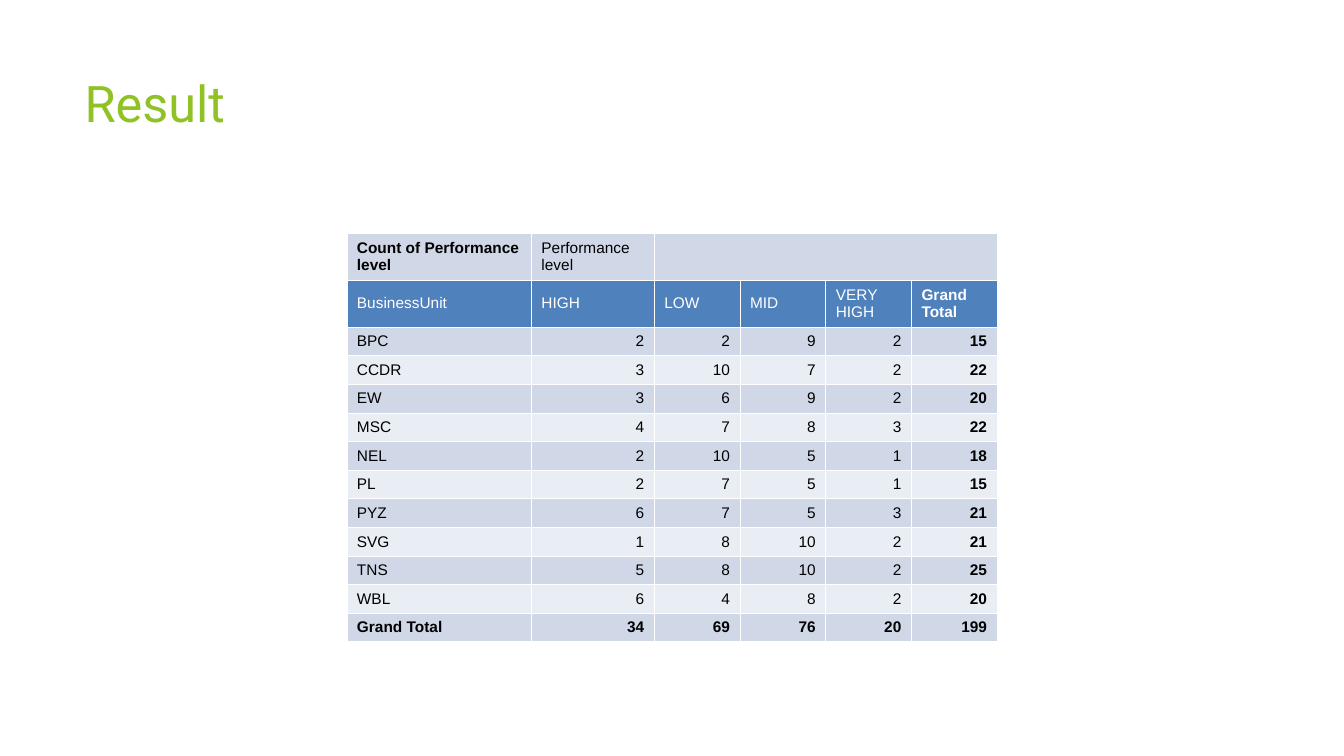
from lxml import etree
from pptx import Presentation
from pptx.dml.color import RGBColor
from pptx.enum.text import MSO_ANCHOR, PP_ALIGN
from pptx.oxml.ns import qn
from pptx.util import Inches, Pt

LEFT, RIGHT = PP_ALIGN.LEFT, PP_ALIGN.RIGHT
TOP, MIDDLE = MSO_ANCHOR.TOP, MSO_ANCHOR.MIDDLE

COLOURS = {
    "title": "90C226",
    "text": "000000",
    "header": "4F81BD",
    "band": "D0D8E8",
    "light": "E9EDF4",
    "white": "FFFFFF",
}

CAPTIONS = ["Count of Performance level", "Performance level", "", "", "", ""]
HEADINGS = ["BusinessUnit", "HIGH", "LOW", "MID", "VERY HIGH", "Grand Total"]
COUNTS = {
    "BPC": [2, 2, 9, 2],
    "CCDR": [3, 10, 7, 2],
    "EW": [3, 6, 9, 2],
    "MSC": [4, 7, 8, 3],
    "NEL": [2, 10, 5, 1],
    "PL": [2, 7, 5, 1],
    "PYZ": [6, 7, 5, 3],
    "SVG": [1, 8, 10, 2],
    "TNS": [5, 8, 10, 2],
    "WBL": [6, 4, 8, 2],
}
COLUMN_WIDTHS = [1.83, 1.22, 0.85, 0.85, 0.85, 0.85]


def colour(name):
    return RGBColor.from_string(COLOURS[name])


def write(frame, text, font, size, ink, bold=False, align=LEFT):
    para = frame.paragraphs[0]
    para.alignment = align
    span = para.add_run()
    span.text = text
    span.font.name = font
    span.font.size = Pt(size)
    span.font.bold = bold
    span.font.color.rgb = colour(ink)


def add_borders(cell):
    properties = cell._tc.get_or_add_tcPr()
    for position, side in enumerate(("a:lnL", "a:lnR", "a:lnT", "a:lnB")):
        line = etree.Element(qn(side), w=str(Pt(0.5)))
        fill = etree.SubElement(line, qn("a:solidFill"))
        etree.SubElement(fill, qn("a:srgbClr"), val=COLOURS["white"])
        properties.insert(position, line)


def add_title(page, left, top, width, height):
    box = page.shapes.add_textbox(Inches(left), Inches(top), Inches(width), Inches(height))
    box.text_frame.word_wrap = True
    box.text_frame.vertical_anchor = TOP
    write(box.text_frame, "Result", "Roboto", 36, "title")


def pivot_rows():
    """Captions, headings, one row per unit with its total, then column totals."""
    units = [[unit, *counts, sum(counts)] for unit, counts in COUNTS.items()]
    totals = [sum(column) for column in list(zip(*units))[1:]]
    return [CAPTIONS, HEADINGS, *units, ["Grand Total", *totals]]


def add_pivot_table(page, left, top, width, height):
    rows = pivot_rows()
    last_row, last_column = len(rows) - 1, len(HEADINGS) - 1
    table = page.shapes.add_table(
        len(rows), len(HEADINGS), Inches(left), Inches(top), Inches(width), Inches(height)
    ).table
    for column, column_width in zip(table.columns, COLUMN_WIDTHS):
        column.width = Inches(column_width)

    for row, values in enumerate(rows):
        is_header = row == 1
        fill = "header" if is_header else ("light" if row % 2 else "band")
        for column, value in enumerate(values):
            cell = table.cell(row, column)
            cell.vertical_anchor = MIDDLE
            cell.fill.solid()
            cell.fill.fore_color.rgb = colour(fill)
            add_borders(cell)
            if value == "":
                continue
            bold = row == last_row or column == last_column or row == column == 0
            align = RIGHT if row > 1 and column > 0 else LEFT
            ink = "white" if is_header else "text"
            write(cell.text_frame, str(value), "Arial", 11, ink, bold, align)

    # Empty caption across the remaining columns
    table.cell(0, 2).merge(table.cell(0, last_column))


def main():
    deck = Presentation()
    deck.slide_width, deck.slide_height = Inches(13.33), Inches(7.5)
    page = deck.slides.add_slide(deck.slide_layouts[6])
    page.background.fill.solid()
    page.background.fill.fore_color.rgb = colour("white")
    add_title(page, 0.74, 0.67, 9.4, 1.44)
    add_pivot_table(page, 3.44, 2.31, sum(COLUMN_WIDTHS), 2.89)
    deck.save("out.pptx")


if __name__ == "__main__":
    main()
